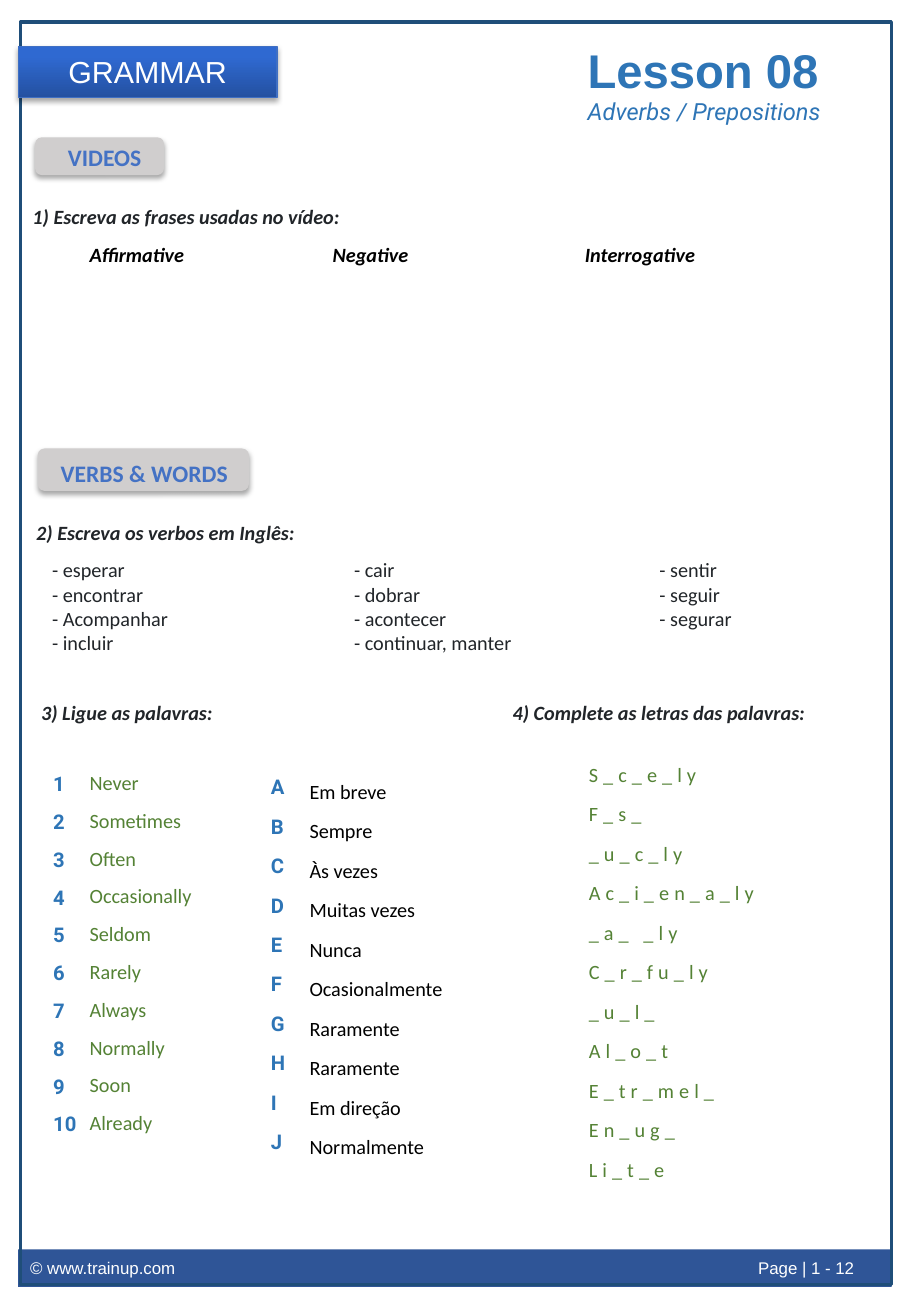
from lxml.etree import SubElement
from pptx import Presentation
from pptx.dml.color import RGBColor
from pptx.enum.shapes import MSO_SHAPE as Preset
from pptx.enum.text import MSO_ANCHOR as Anchor, MSO_AUTO_SIZE as AutoSize, PP_ALIGN as Align
from pptx.oxml.ns import qn
from pptx.util import Pt

WHITE = RGBColor(0xFF, 0xFF, 0xFF)
BLACK = RGBColor(0x00, 0x00, 0x00)
INK = RGBColor(0x21, 0x25, 0x29)
NAVY = RGBColor(0x1F, 0x4E, 0x79)
FOOTER_BLUE = RGBColor(0x2F, 0x55, 0x97)
TITLE_BLUE = RGBColor(0x2E, 0x75, 0xB6)
LABEL_BLUE = RGBColor(0x44, 0x72, 0xC4)
BANNER_LINE = RGBColor(0x3F, 0x6F, 0xC3)
BANNER_DARK = RGBColor(0x24, 0x51, 0xA1)
BANNER_LIGHT = RGBColor(0x2F, 0x69, 0xD1)
GREEN = RGBColor(0x54, 0x82, 0x35)
GREY = RGBColor(0xD0, 0xCE, 0xCE)

VERBS = ["- esperar\t- cair\t- sentir", "- encontrar\t- dobrar\t- seguir",
         "- Acompanhar\t- acontecer\t- segurar", "- incluir\t- continuar, manter"]
ADVERBS = ["Never", "Sometimes", "Often", "Occasionally", "Seldom",
           "Rarely", "Always", "Normally", "Soon", "Already"]
MEANINGS = ["Em breve", "Sempre", "Às vezes", "Muitas vezes", "Nunca",
            "Ocasionalmente", "Raramente", "Raramente", "Em direção", "Normalmente"]
PUZZLES = ["S_c_e_ly", "F_s_", "_u_c_ly", "Ac_i_en_a_ly", "_a_ _ly", "C_r_fu_ly",
           "_u_l_", "Al_o_t", "E_tr_mel_", "En_ug_", "Li_t_e"]


def add_box(slide, bounds, fill=None, line=None, line_width=1, preset=Preset.RECTANGLE):
    shape = slide.shapes.add_shape(preset, *map(Pt, bounds))
    shape.shadow.inherit = False
    if fill is None:
        shape.fill.background()
    else:
        shape.fill.solid()
        shape.fill.fore_color.rgb = fill
    if line is None:
        shape.line.fill.background()
    else:
        shape.line.color.rgb = line
        shape.line.width = Pt(line_width)
    return shape


def add_shadow(shape):
    effects = shape._element.spPr.find(qn("a:effectLst"))
    shadow = SubElement(effects, qn("a:outerShdw"), blurRad=str(Pt(3.1)), dist=str(Pt(1.8)),
                        dir="5400000", algn="t", rotWithShape="0")
    color = SubElement(shadow, qn("a:srgbClr"), val="000000")
    SubElement(color, qn("a:alpha"), val="35000")


def set_tabs(paragraph, tabs):
    tab_list = SubElement(paragraph._p.get_or_add_pPr(), qn("a:tabLst"))
    for position in tabs:
        SubElement(tab_list, qn("a:tab"), pos=str(Pt(position)), algn="l")


def write(shape, lines, size=12, font="Calibri", color=INK, bold=False, italic=False,
          align=Align.LEFT, anchor=Anchor.TOP, wrap=True, grow=True,
          leading=None, after=None, tabs=(), tracking=None):
    """Fill the shape with one paragraph per line, all in the same format."""
    frame = shape.text_frame
    frame.word_wrap = wrap
    frame.vertical_anchor = anchor
    frame.auto_size = AutoSize.SHAPE_TO_FIT_TEXT if grow else AutoSize.NONE
    for index, line in enumerate(lines):
        paragraph = frame.add_paragraph() if index else frame.paragraphs[0]
        paragraph.alignment = align
        if leading:
            paragraph.line_spacing = leading
        if after:
            paragraph.space_after = Pt(after)
        if tabs:
            set_tabs(paragraph, tabs)
        run = paragraph.add_run()
        run.text = line
        run.font.size = Pt(size)
        run.font.name = font
        run.font.color.rgb = color
        run.font.bold = bold
        run.font.italic = italic
        if tracking:
            run._r.get_or_add_rPr().set("spc", str(tracking * 100))


def add_text(slide, bounds, *lines, **style):
    write(slide.shapes.add_textbox(*map(Pt, bounds)), lines, **style)


def add_heading(slide, bounds, text, **style):
    add_text(slide, bounds, text, bold=True, italic=True, **style)


def add_list(slide, bounds, words, **style):
    write(add_box(slide, bounds, fill=WHITE), words, after=8, **style)


def add_section_label(slide, chip_bounds, text_bounds, text):
    chip = add_box(slide, chip_bounds, fill=GREY, preset=Preset.ROUNDED_RECTANGLE)
    add_shadow(chip)
    add_text(slide, text_bounds, text, size=14, color=LABEL_BLUE, bold=True,
             leading=1.07, after=8)


def add_banner(slide):
    banner = add_box(slide, (10.8, 27.4, 153.4, 30.2), line=BANNER_LINE, line_width=0.75,
                     preset=Preset.ROUNDED_RECTANGLE)
    banner.adjustments[0] = 0
    banner.fill.gradient()
    banner.fill.gradient_angle = 90
    dark, light = banner.fill.gradient_stops
    dark.color.rgb, dark.position = BANNER_DARK, 0
    light.color.rgb, light.position = BANNER_LIGHT, 0.8
    add_shadow(banner)
    write(banner, ["GRAMMAR"], size=18, font="Arial", color=WHITE, align=Align.CENTER,
          anchor=Anchor.MIDDLE, grow=False)


def add_footer(slide):
    footer = add_box(slide, (10.8, 740.2, 517.7, 22.3), fill=FOOTER_BLUE)
    write(footer, ["© www.trainup.com\tPage | 1 - 12"], size=10, font="Arial", color=WHITE,
          anchor=Anchor.MIDDLE, grow=False, tabs=[431.5])


def main():
    presentation = Presentation()
    presentation.slide_width, presentation.slide_height = Pt(540), Pt(779.76)
    slide = presentation.slides.add_slide(presentation.slide_layouts[6])

    add_footer(slide)
    add_list(slide, (24.5, 453.6, 40.3, 247.7), [str(n) for n in range(1, 11)],
             font="Roboto", color=TITLE_BLUE, bold=True)
    add_heading(slide, (12.2, 117.4, 453.6, 21.8), "1) Escreva as frases usadas no vídeo:")
    add_heading(slide, (46.1, 139, 417.6, 22.3), "Affirmative\tNegative\tInterrogative",
                color=BLACK, leading=1.07, after=8, tabs=[144, 293.5])
    add_heading(slide, (14.4, 304.6, 453.6, 21.8), "2) Escreva os verbos em Inglês:")
    add_text(slide, (23.8, 326.9, 453.6, 65.4), *VERBS, tabs=[179, 360])
    add_heading(slide, (17.3, 411.1, 505.4, 21.8),
                "3) Ligue as palavras:\t4) Complete as letras das palavras:", tabs=[279.5])
    add_text(slide, (341.3, 20.9, 153.4, 41.2), "Lesson 08", size=28, font="Arial",
             color=TITLE_BLUE, bold=True, wrap=False)
    add_list(slide, (46.1, 452.9, 76.3, 225.4), ADVERBS, color=GREEN)
    add_list(slide, (176.4, 457.2, 120.2, 234.7), MEANINGS, color=BLACK, leading=1.07)
    add_list(slide, (342, 447.1, 120.2, 282.2), PUZZLES, color=GREEN, leading=1.07, tracking=3)
    add_box(slide, (12.2, 13, 516.2, 748.1), line=NAVY, line_width=2)
    add_banner(slide)
    add_section_label(slide, (20.9, 81.4, 76.3, 22.3), (33.1, 79.9, 59, 24.5), "VIDEOS")
    add_list(slide, (153.4, 454.3, 29.5, 257.8), "ABCDEFGHIJ", font="Roboto",
             color=TITLE_BLUE, bold=True, leading=1.07)
    add_section_label(slide, (22.3, 265.7, 125.3, 25.2), (28.8, 267.1, 113.8, 24.5),
                      "VERBS & WORDS")
    add_text(slide, (341.3, 54, 156.2, 24.5), "Adverbs / Prepositions", size=14,
             font="Roboto", color=TITLE_BLUE, italic=True, wrap=False)

    presentation.save("out.pptx")


if __name__ == "__main__":
    main()
